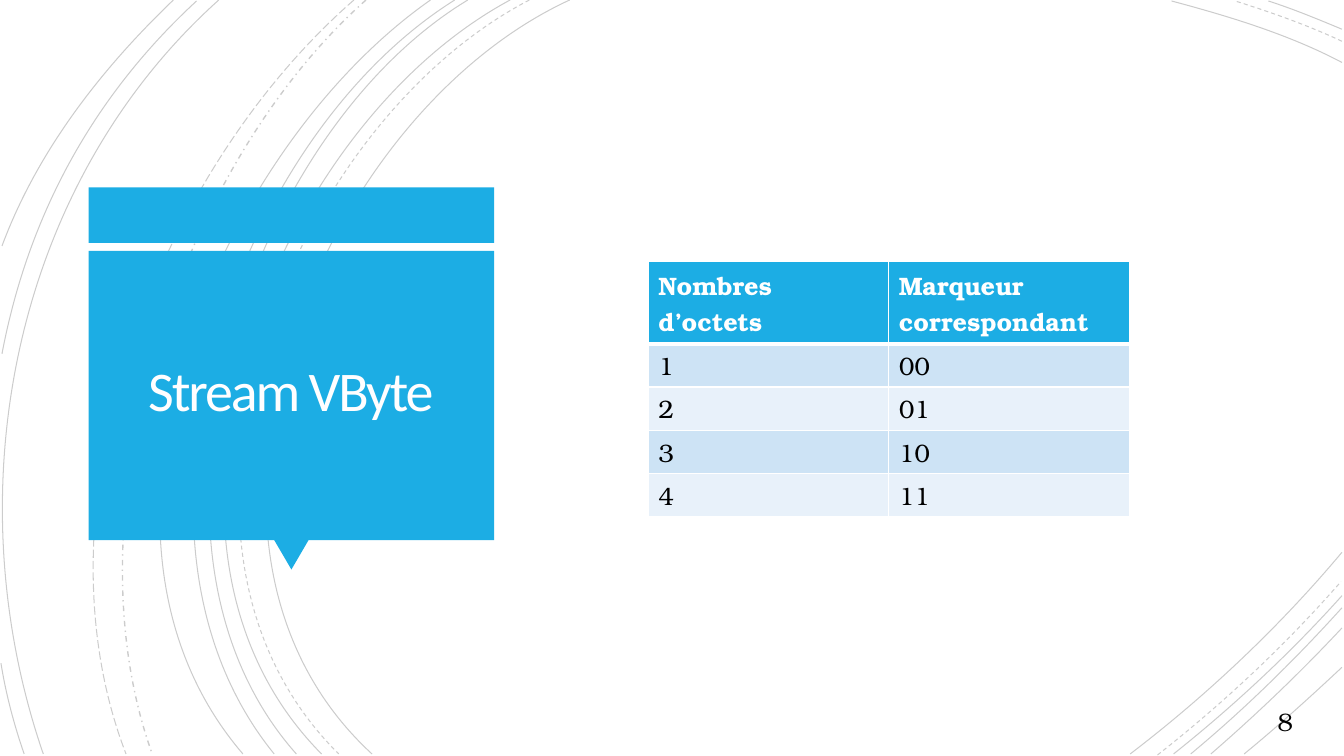
from lxml import etree
from pptx import Presentation
from pptx import util as u
from pptx.dml.color import RGBColor
from pptx.enum import dml, shapes, text
from pptx.oxml import ns

COLORS = {"accent": "1CADE4", "title": "FFFEFF", "white": "FFFFFF", "black": "000000",
          "band_dark": "CDE3F5", "band_light": "E8F1FA"}
BODY_FONT = "TeX Gyre Bonum"
TITLE_FONT = "Calibri"

SOLID = dml.MSO_LINE.SOLID
DASH = dml.MSO_LINE.DASH
LONG_DASH = dml.MSO_LINE.LONG_DASH
DASH_DOT = dml.MSO_LINE.DASH_DOT

# Cubic curves in inches: start, two control points, end, dash, width in points
ARCS = [
    ((5.65, 0), (3.15, 1.15), (1.43, 5.4), (3.69, 7.48), SOLID, 0.75),
    ((13.31, 0.62), (12.78, 0.34), (12.18, 0.16), (11.62, 0.01), SOLID, 0.75),
    ((11.21, 7.48), (11.97, 6.9), (12.69, 6.22), (13.31, 5.48), SOLID, 0.75),
    ((5.25, 0), (2.85, 1.25), (1.23, 5.37), (3.36, 7.48), DASH, 0.75),
    ((13.31, 0.41), (12.97, 0.25), (12.6, 0.12), (12.25, 0.01), DASH, 0.75),
    ((11.48, 7.49), (12.13, 6.98), (12.75, 6.4), (13.3, 5.77), DASH, 0.75),
    ((5.06, 0), (2.7, 1.27), (1.1, 5.37), (3.19, 7.48), SOLID, 0.75),
    ((13.31, 0.29), (13.07, 0.19), (12.83, 0.09), (12.58, 0.01), SOLID, 0.75),
    ((11.64, 7.48), (12.23, 7.01), (12.8, 6.48), (13.31, 5.91), SOLID, 0.75),
    ((4.64, 0), (2.44, 1.33), (1.1, 5.41), (2.94, 7.48), SOLID, 0.75),
    ((11.81, 7.48), (12.34, 7.04), (12.84, 6.55), (13.31, 6.03), SOLID, 0.75),
    ((4.51, 0), (2.31, 1.38), (0.97, 5.33), (2.72, 7.48), SOLID, 0.75),
    ((12.01, 7.48), (12.46, 7.09), (12.9, 6.67), (13.31, 6.23), SOLID, 0.75),
    ((4.27, 0), (2.17, 1.47), (0.53, 5.29), (2.41, 7.48), SOLID, 0.75),
    ((12.34, 7.48), (12.67, 7.21), (12.99, 6.92), (13.31, 6.62), SOLID, 0.75),
    ((3.63, 0), (1.76, 1.66), (0.65, 5.09), (1.51, 7.48), DASH_DOT, 1),
    ((3.51, 0), (1.57, 1.69), (0.29, 4.99), (1.25, 7.48), LONG_DASH, 0.75),
    ((2.17, 0), (0.11, 1.85), (-0.46, 4.9), (0.43, 7.48), SOLID, 0.75),
    ((1.95, 0.01), (0.92, 0.96), (0.28, 2.14), (0.02, 3.51), SOLID, 0.75),
    ((0.01, 6.58), (0.06, 6.89), (0.14, 7.19), (0.24, 7.48), SOLID, 0.75),
    ((1.72, 0), (1, 0.69), (0.37, 1.5), (0.02, 2.44), SOLID, 0.75),
]
MARKERS = [("Nombres d’octets", "Marqueur correspondant"),
           ("1", "00"), ("2", "01"), ("3", "10"), ("4", "11")]


def color(name):
    return RGBColor.from_string(COLORS[name])


def add_run(paragraph, content, size, font, color_name, bold=False):
    run = paragraph.add_run()
    run.text = content
    run.font.size = u.Pt(size)
    run.font.name = font
    run.font.bold = bold
    run.font.color.rgb = color(color_name)
    return run


def add_arc(group, start, control1, control2, end, dash, width):
    """Draw one faint cubic curve."""
    points = [(u.Inches(x), u.Inches(y)) for x, y in (control1, control2, end)]
    builder = group.shapes.build_freeform(u.Inches(start[0]), u.Inches(start[1]))
    builder.add_line_segments(points, close=False)
    shape = builder.convert_to_shape()
    shape.shadow.inherit = False
    shape.fill.background()
    shape.line.color.rgb = color("black")
    shape.line.width = u.Pt(width)
    shape.line.dash_style = dash
    line_color = shape.line._ln.find(".//" + ns.qn("a:srgbClr"))
    etree.SubElement(line_color, ns.qn("a:alpha"), val="20000")

    outline = shape._element.find(".//" + ns.qn("a:path"))
    segments = outline.findall(ns.qn("a:lnTo"))
    curve = etree.SubElement(outline, ns.qn("a:cubicBezTo"))
    for segment in segments:
        curve.append(segment[0])
        outline.remove(segment)


def add_background_arcs(slide):
    group = slide.shapes.add_group_shape()
    for arc in ARCS:
        add_arc(group, *arc)


def add_block(group, kind, left, top, width, height):
    shape = group.shapes.add_shape(kind, *map(u.Inches, (left, top, width, height)))
    shape.shadow.inherit = False
    shape.fill.solid()
    shape.fill.fore_color.rgb = color("accent")
    shape.line.fill.background()
    return shape


def add_title_panel(slide, left, top, width, title):
    """Header bar, title block with a pointer below it, and the title."""
    kinds = shapes.MSO_SHAPE
    block_top, block_height = top + 0.63, 2.87
    pointer_width, overlap = 0.35, 0.01
    group = slide.shapes.add_group_shape()
    add_block(group, kinds.RECTANGLE, left, top, width, 0.55)
    pointer = add_block(group, kinds.ISOSCELES_TRIANGLE, left + (width - pointer_width) / 2,
                        block_top + block_height - overlap, pointer_width, 0.3)
    pointer.rotation = 180
    add_block(group, kinds.RECTANGLE, left, block_top, width, block_height)

    box = slide.shapes.add_textbox(u.Inches(left + 0.09), u.Inches(block_top + 0.08),
                                   u.Inches(width - 0.19), u.Inches(2.68))
    frame = box.text_frame
    frame.word_wrap = True
    frame.vertical_anchor = text.MSO_ANCHOR.MIDDLE
    frame.margin_left = frame.margin_right = u.Inches(0.25)
    frame.margin_top = frame.margin_bottom = u.Inches(0.25)
    paragraph = frame.paragraphs[0]
    paragraph.alignment = text.PP_ALIGN.CENTER
    paragraph.line_spacing = 0.85
    run = add_run(paragraph, title, 40, TITLE_FONT, "title")
    run._r.get_or_add_rPr().set("spc", "-150")


def set_borders(cell, widths):
    """Give the cell white borders; widths maps L, R, T, B to points."""
    properties = cell._tc.get_or_add_tcPr()
    for side, width in widths.items():
        line = etree.SubElement(properties, ns.qn("a:ln" + side), w=str(u.Pt(width)))
        fill = etree.SubElement(line, ns.qn("a:solidFill"))
        etree.SubElement(fill, ns.qn("a:srgbClr"), val=COLORS["white"])


def add_marker_table(slide, left, top, width, header_height, row_height):
    height = header_height + row_height * (len(MARKERS) - 1)
    frame = slide.shapes.add_table(len(MARKERS), len(MARKERS[0]),
                                   *map(u.Inches, (left, top, width, height)))
    table = frame.table
    for row_index, values in enumerate(MARKERS):
        header = row_index == 0
        table.rows[row_index].height = u.Inches(header_height if header else row_height)
        band = "accent" if header else "band_dark" if row_index % 2 else "band_light"
        borders = {"L": 1, "R": 1, "T": 3 if row_index == 1 else 1, "B": 3 if header else 1}
        for column_index, value in enumerate(values):
            cell = table.cell(row_index, column_index)
            set_borders(cell, borders)
            cell.fill.solid()
            cell.fill.fore_color.rgb = color(band)
            add_run(cell.text_frame.paragraphs[0], value, 18, BODY_FONT,
                    "white" if header else "black", header)


def add_page_number(slide, left, top, width, height, number):
    box = slide.shapes.add_textbox(*map(u.Inches, (left, top, width, height)))
    box.text_frame.word_wrap = False
    box.text_frame.auto_size = text.MSO_AUTO_SIZE.SHAPE_TO_FIT_TEXT
    add_run(box.text_frame.paragraphs[0], number, 18, BODY_FONT, "black")


def main():
    presentation = Presentation()
    presentation.slide_width = u.Inches(13.33)
    presentation.slide_height = u.Inches(7.5)
    slide = presentation.slides.add_slide(presentation.slide_layouts[6])
    slide.background.fill.solid()
    slide.background.fill.fore_color.rgb = color("white")
    add_background_arcs(slide)
    add_title_panel(slide, 0.88, 1.86, 4.02, "Stream VByte")
    add_marker_table(slide, 6.43, 2.59, 4.77, 0.82, 0.43)
    add_page_number(slide, 12.57, 6.96, 0.34, 0.4, "8")
    presentation.save("out.pptx")


if __name__ == "__main__":
    main()
